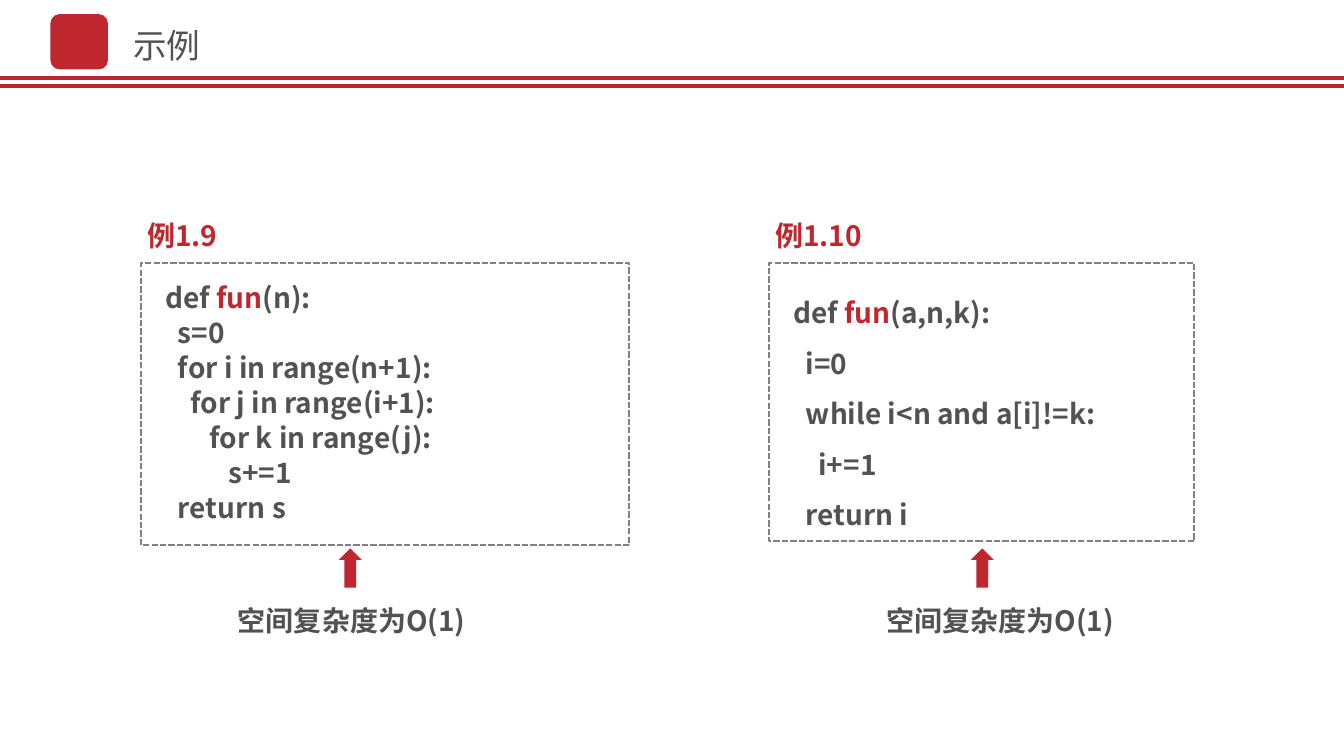
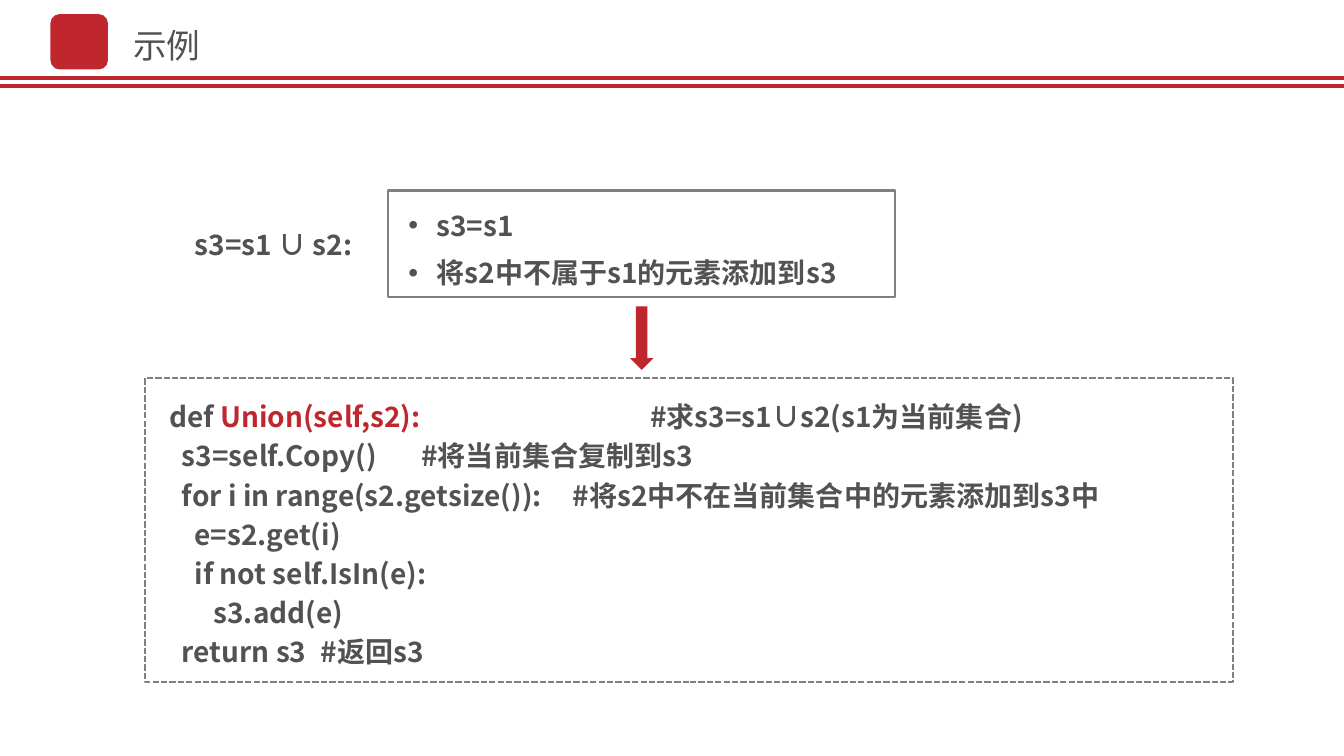
from dataclasses import dataclass

from lxml import etree
from pptx import Presentation
from pptx.dml.color import RGBColor
from pptx.enum.dml import MSO_LINE
from pptx.enum.shapes import MSO_CONNECTOR, MSO_SHAPE
from pptx.enum.text import MSO_ANCHOR, MSO_AUTO_SIZE, PP_ALIGN
from pptx.oxml.ns import qn
from pptx.util import Inches, Pt

RECTANGLE = MSO_SHAPE.RECTANGLE
ROUNDED = MSO_SHAPE.ROUNDED_RECTANGLE
UP_ARROW = MSO_SHAPE.UP_ARROW
DOWN_ARROW = MSO_SHAPE.DOWN_ARROW
STRAIGHT = MSO_CONNECTOR.STRAIGHT
DASHED = MSO_LINE.SQUARE_DOT


@dataclass(frozen=True)
class Theme:
    red: RGBColor = RGBColor(0xC0, 0x26, 0x2E)
    text: RGBColor = RGBColor(0x52, 0x52, 0x52)
    border: RGBColor = RGBColor(0x80, 0x80, 0x80)
    white: RGBColor = RGBColor(0xFF, 0xFF, 0xFF)
    font: str = "Noto Sans CJK SC"
    title_size: Pt = Pt(24)
    body_size: Pt = Pt(20)
    border_width: Pt = Pt(1.5)
    band_width: Pt = Pt(3)


theme = Theme()
presentation = Presentation()
presentation.slide_width = Inches(13.33)
presentation.slide_height = Inches(7.5)
COLUMN = presentation.slide_width / 100
ROW = presentation.slide_height / 100
CODE_SPACE = 0.47
CODE_MARGINS = (1.8, 2.13)
PLAIN_MARGINS = (0.75, 0.67)


def lay_out(shape, area, fill=None, border=None, dash=None):
    left, top, width, height = area
    shape.left, shape.width = int(left * COLUMN), int(width * COLUMN)
    shape.top, shape.height = int(top * ROW), int(height * ROW)
    shape.shadow.inherit = False
    if fill is None:
        shape.fill.background()
    else:
        shape.fill.solid()
        shape.fill.fore_color.rgb = fill
    if border is None:
        shape.line.fill.background()
    else:
        shape.line.color.rgb = border
        shape.line.width = theme.border_width
        shape.line.dash_style = dash
    return shape


def write(shape, lines, leading=None, margins=PLAIN_MARGINS, size=theme.body_size,
          bold=True, anchor=MSO_ANCHOR.TOP, wrap=True):
    frame = shape.text_frame
    frame.auto_size = MSO_AUTO_SIZE.NONE
    frame.word_wrap = wrap
    frame.vertical_anchor = anchor
    frame.margin_left = int(margins[0] * COLUMN)
    frame.margin_right = int(PLAIN_MARGINS[0] * COLUMN)
    frame.margin_top = frame.margin_bottom = int(margins[1] * ROW)
    for number, (spaces, tab, runs) in enumerate(lines):
        paragraph = frame.add_paragraph() if number else frame.paragraphs[0]
        paragraph.alignment = PP_ALIGN.LEFT
        if leading:
            paragraph.line_spacing = Pt(leading)
        properties = paragraph._p.get_or_add_pPr()
        if spaces:
            properties.set("indent", str(int(spaces * CODE_SPACE * COLUMN)))
        if tab:
            tabs = etree.SubElement(properties, qn("a:tabLst"))
            etree.SubElement(tabs, qn("a:tab"), pos=str(int(tab * COLUMN)), algn="l")
        for text, colour in runs:
            run = paragraph.add_run()
            run.text = text
            run.font.size = size
            run.font.bold = bold
            run.font.color.rgb = colour
            run.font.name = theme.font
            etree.SubElement(run.font._element, qn("a:ea"), typeface=theme.font)


example_slide = presentation.slides.add_slide(presentation.slide_layouts[5])
union_slide = presentation.slides.add_slide(presentation.slide_layouts[1])

header = [lay_out(example_slide.shapes.add_shape(ROUNDED, 0, 0, 0, 0),
                  (3.75, 1.87, 4.28, 7.33), theme.red)]
for band_top in (10.27, 11.33):
    band_y = int(band_top * ROW)
    band = example_slide.shapes.add_connector(
        STRAIGHT, 0, band_y, presentation.slide_width, band_y)
    band.line.color.rgb = theme.red
    band.line.width = theme.band_width
    etree.SubElement(band.element.spPr, qn("a:effectLst"))
    header.append(band)
for number, shape in enumerate(header, start=101):
    shape.element.xpath(".//p:cNvPr")[0].set("id", str(number))
    presentation.slide_master.shapes.element.append(shape.element)

for slide in (example_slide, union_slide):
    title = lay_out(slide.shapes.title, (9.15, 2.67, 6.7, 6.67))
    write(title, [(0, None, [("示例", theme.text)])], size=theme.title_size,
          bold=False, anchor=MSO_ANCHOR.MIDDLE, wrap=False)

examples = [
    ("例1.9", (10.5, 34.8, 36.3, 37.33), 25.2, 16.95, 25, [
        (0, None, [("def ", theme.text), ("fun", theme.red), ("(n):", theme.text)]),
        (2, None, [("s=0", theme.text)]),
        (2, None, [("for i in range(n+1):", theme.text)]),
        (4, None, [("for j in range(i+1):", theme.text)]),
        (7, None, [("for k in range(j):", theme.text)]),
        (10, None, [("s+=1", theme.text)]),
        (2, None, [("return s", theme.text)]),
    ]),
    ("例1.10", (57.22, 34.8, 31.65, 36.8), 72.22, 65.18, 36, [
        (0, None, [("def ", theme.text), ("fun", theme.red), ("(a,n,k):", theme.text)]),
        (2, None, [("i=0", theme.text)]),
        (2, None, [("while i<n and a[i]!=k:", theme.text)]),
        (4, None, [("i+=1", theme.text)]),
        (2, None, [("return i", theme.text)]),
    ]),
]
shapes = example_slide.shapes
for name, code_area, arrow_left, caption_left, leading, code in examples:
    label = lay_out(shapes.add_textbox(0, 0, 0, 0), (code_area[0] - 0.3, 27.07, 10, 6.5))
    write(label, [(0, None, [(name, theme.red)])], 30)
    caption = lay_out(shapes.add_textbox(0, 0, 0, 0), (caption_left, 78, 20.5, 6.1))
    write(caption, [(0, None, [("空间复杂度为O(1)", theme.text)])], 30)
    lay_out(shapes.add_shape(UP_ARROW, 0, 0, 0, 0), (arrow_left, 72.53, 1.73, 5.2), theme.red)
    code_box = lay_out(shapes.add_shape(RECTANGLE, 0, 0, 0, 0), code_area,
                       border=theme.border, dash=DASHED)
    write(code_box, code, leading, CODE_MARGINS)

shapes = union_slide.shapes
steps = lay_out(union_slide.placeholders[1], (28.88, 25.2, 37.73, 14.13),
                theme.white, theme.border)
write(steps, [(0, None, [("s3=s1", theme.text)]),
              (0, None, [("将s2中不属于s1的元素添加到s3", theme.text)])], 28, (1.5, 1.6))
for paragraph in steps.text_frame.paragraphs:
    paragraph.space_before = Pt(6)
    properties = paragraph._p.get_or_add_pPr()
    properties.set("marL", str(int(2.1 * COLUMN)))
    properties.set("indent", str(int(-2.1 * COLUMN)))

formula = lay_out(shapes.add_textbox(0, 0, 0, 0), (13.73, 29.47, 16.43, 5.87))
write(formula, [(0, None, [("s3=s1 ∪ s2:", theme.text)])])
lay_out(shapes.add_shape(DOWN_ARROW, 0, 0, 0, 0), (46.88, 40.53, 1.73, 8.4), theme.red)

union_code = [
    (0, 35.78, [("def ", theme.text), ("Union(self,s2):\t", theme.red),
                ("#求s3=s1∪s2(s1为当前集合)", theme.text)]),
    (2, 24.83, [("s3=self.Copy()\t#将当前集合复制到s3", theme.text)]),
    (2, 30, [("for i in range(s2.getsize()):\t#将s2中不在当前集合中的元素添加到s3中", theme.text)]),
    (4, None, [("e=s2.get(i)", theme.text)]),
    (4, None, [("if not self.IsIn(e):", theme.text)]),
    (7, None, [("s3.add(e)", theme.text)]),
    (2, 31.88, [("return s3\t#返回s3", theme.text)]),
]
union_box = lay_out(shapes.add_shape(RECTANGLE, 0, 0, 0, 0), (10.8, 50, 80.93, 40.27),
                    border=theme.border, dash=DASHED)
write(union_box, union_code, 28, CODE_MARGINS)

presentation.save("out.pptx")
